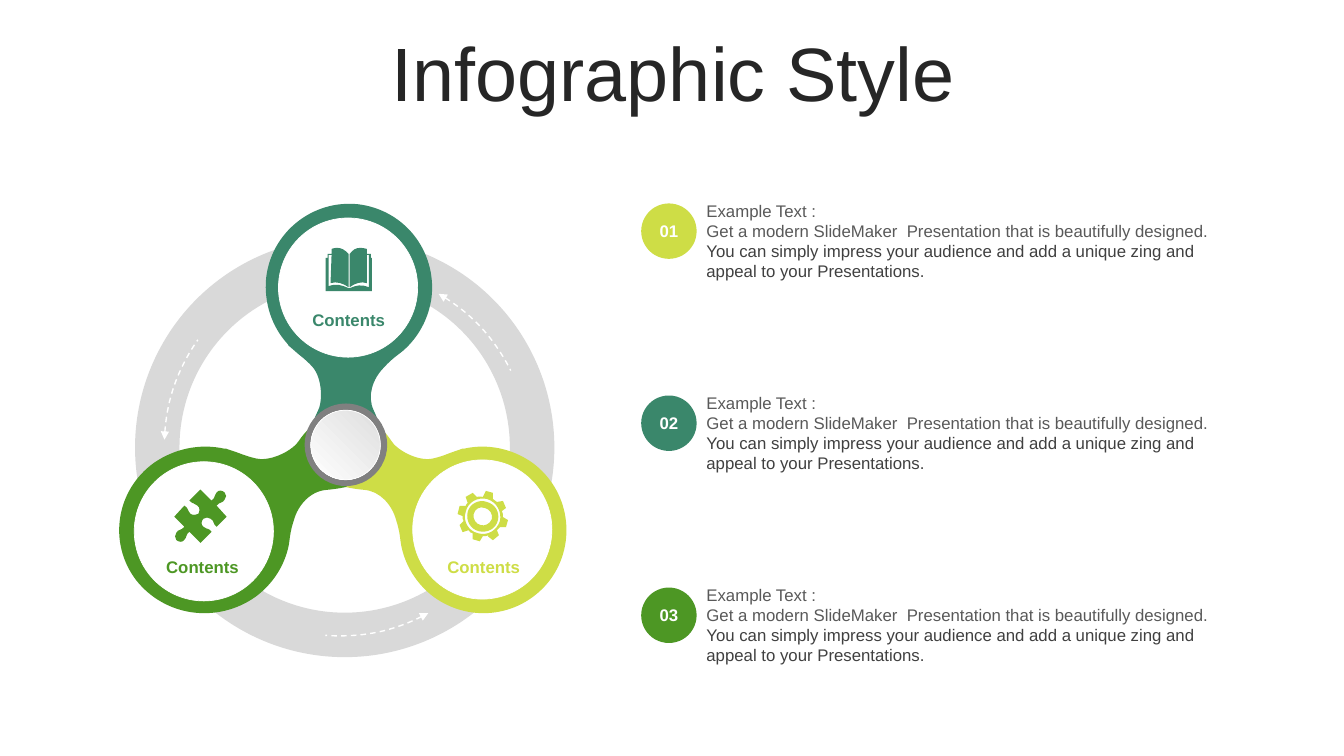
from itertools import islice
from math import cos, radians, sin

from pptx import Presentation
from pptx.dml.color import RGBColor
from pptx.enum.dml import MSO_LINE
from pptx.enum.shapes import MSO_SHAPE
from pptx.enum.text import MSO_ANCHOR, MSO_AUTO_SIZE, PP_ALIGN
from pptx.oxml.ns import qn
from pptx.util import Pt

LIME = RGBColor(0xCE, 0xDD, 0x46)
TEAL = RGBColor(0x3A, 0x87, 0x6B)
GREEN = RGBColor(0x4D, 0x97, 0x24)
WHITE = RGBColor(0xFF, 0xFF, 0xFF)
TRACK_GRAY = RGBColor(0xD9, 0xD9, 0xD9)
RIM_GRAY = RGBColor(0x80, 0x80, 0x80)
HUB_GRAY = RGBColor(0xDE, 0xDE, 0xDE)
TITLE_INK = RGBColor(0x26, 0x26, 0x26)
LEAD_INK = RGBColor(0x59, 0x59, 0x59)
BODY_INK = RGBColor(0x40, 0x40, 0x40)

# Outlines: M move, L lines, C cubic curves, Z close; one unit is 0.72 pt.
OUTLINE_UNIT = 0.72
ARM = """M 528,459 C 508,445 484,440 461,445 461,445 460,445 459,445
454,447 450,448 445,450 440,452 434,454 429,455 414,458 393,446 388,437
382,428 375,422 375,422 L 367,437 350,468 342,483
C 342,483 350,485 361,486 377,487 389,501 393,516 397,528 397,536 398,541
402,561 413,579 430,592 467,619 518,612 546,575 573,538 565,486 528,459 Z"""
PUZZLE = """M 223,489 C 225,491 225,494 223,496 221,500 218,498 215,502
L 225,513 215,523 C 211,520 213,517 209,515 207,513 204,514 202,515
200,517 199,521 202,523 206,526 207,524 210,528 L 199,539 188,528
C 184,531 186,533 183,536 181,539 177,538 175,536 174,534 173,531 175,529
177,525 180,527 183,523 L 173,513 183,502 C 187,504 186,507 189,510
191,512 195,511 197,510 198,508 199,504 196,502 193,499 192,501 188,497
L 199,486 210,497 C 214,494 212,493 215,489 217,486 221,487 223,489 Z"""
BOOK = """M 346,286 L 347,286 C 354,283 358,282 366,285 L 366,253 364,253
C 364,263 364,272 364,281 359,279 352,281 347,285 L 347,253 347,252
C 350,248 353,246 357,246 359,246 361,246 364,247 364,249 364,250 364,252
L 368,252 368,256 369,256 369,289 323,289 323,256 325,256 325,252 329,252
C 329,250 329,249 329,247 331,246 333,246 335,246 339,246 342,248 346,252
L 346,285 C 340,281 334,279 328,281 L 329,253 326,253 326,284
C 334,281 339,283 346,286 Z"""
GEAR = """M 481,504 C 476,502 471,505 470,510 469,515 472,520 477,521
481,522 486,520 488,515 489,510 486,505 481,504 Z
M 483,498 C 491,500 496,508 494,516 492,525 483,529 475,527
467,525 462,517 464,508 466,500 475,495 483,498 Z
M 483,495 C 474,493 464,498 462,508 459,517 465,527 474,529
484,532 493,526 496,517 498,508 493,498 483,495 Z
M 489,489 L 489,495 C 490,496 492,497 493,498 L 499,497 502,504 498,507
C 499,509 499,511 499,513 L 504,516 502,523 496,523
C 495,524 494,525 493,526 L 495,531 489,536 484,532 485,531
C 483,532 481,532 479,532 L 476,537 469,535 469,529
C 467,529 466,528 465,526 L 459,528 456,521 460,517
C 459,516 459,514 459,512 L 454,510 456,502 462,502
C 462,501 463,500 464,499 L 462,493 469,489 473,493
C 475,493 477,492 479,493 L 482,487 Z"""


def top_arm(x, y):
    return x - 105, y - 214


def left_arm(x, y):
    return 108 + (572 - x) * 236 / 230, y


def upright_puzzle(x, y):
    """Turn a puzzle point back by 45 degrees about the middle of the icon."""
    dx, dy, angle = x - 198.5, y - 512.5, radians(45)
    return (198.5 + dx * cos(angle) + dy * sin(angle),
            512.5 - dx * sin(angle) + dy * cos(angle))


def write(paragraph, text, *, color, size=12, bold=False, align=None):
    if align is not None:
        paragraph.alignment = align
    run = paragraph.add_run()
    run.text = text
    run.font.name = "Arial"
    run.font.size = Pt(size)
    run.font.bold = bold
    run.font.color.rgb = color


def add_preset(slide, kind, left, top, size, fill=None, edge=None):
    shape = slide.shapes.add_shape(kind, Pt(left), Pt(top), Pt(size), Pt(size))
    shape.shadow.inherit = False
    if fill is None:
        shape.fill.background()
    else:
        shape.fill.solid()
        shape.fill.fore_color.rgb = fill
    if edge is None:
        shape.line.fill.background()
    else:
        shape.line.color.rgb = WHITE
        shape.line.width = Pt(edge)
    return shape


def add_outline(slide, outline, color, placed=lambda x, y: (x, y), turn=0):
    """Draw an outline with true curves, each point moved by placed."""
    steps = []
    for token in outline.split():
        if token.isalpha():
            steps.append((token, []))
        else:
            x, y = placed(*map(int, token.split(",")))
            steps[-1][1].append((Pt(x * OUTLINE_UNIT), Pt(y * OUTLINE_UNIT)))
    builder = slide.shapes.build_freeform(*steps[0][1][0], scale=1.0)
    for command, points in steps[1:]:
        if command == "M":
            builder.move_to(*points[0])
        else:
            builder.add_line_segments(points, close=command == "Z")
    shape = builder.convert_to_shape()

    contour = shape.element.find(".//" + qn("a:path"))
    nodes = iter(list(contour))
    for command, points in steps:
        if command != "C":
            list(islice(nodes, max(1, len(points))))
            continue
        for _ in range(len(points) // 3):
            controls = list(islice(nodes, 3))
            curve = contour.makeelement(qn("a:cubicBezTo"))
            controls[0].addprevious(curve)
            for control in controls:
                curve.append(control[0])
                contour.remove(control)

    shape.rotation = turn
    shape.shadow.inherit = False
    shape.fill.solid()
    shape.fill.fore_color.rgb = color
    shape.line.fill.background()


def add_turn_arrow(slide, left, top, turn):
    arrow = add_preset(slide, MSO_SHAPE.ARC, left, top, 262, edge=1)
    # Angles are stored in 60000ths of a degree, adjustments in 100000ths.
    arrow.adjustments[0] = 181.8 * 0.6
    arrow.adjustments[1] = 215.18 * 0.6
    arrow.rotation = turn
    arrow.line.dash_style = MSO_LINE.DASH
    line = arrow.line._get_or_add_ln()
    line.append(line.makeelement(qn("a:headEnd"), {"type": "triangle"}))


def add_text_box(slide, left, top, width, height):
    box = slide.shapes.add_textbox(Pt(left), Pt(top), Pt(width), Pt(height))
    box.text_frame.word_wrap = True
    return box.text_frame


def add_title(slide, text):
    title = slide.shapes.title
    title.left, title.top, title.width, title.height = Pt(25.2), Pt(26.6), Pt(911.5), Pt(56.9)
    frame = title.text_frame
    frame.auto_size = MSO_AUTO_SIZE.NONE
    frame.vertical_anchor = MSO_ANCHOR.MIDDLE
    frame.paragraphs[0].line_spacing = 0.9
    write(frame.paragraphs[0], text, color=TITLE_INK, size=54, align=PP_ALIGN.CENTER)


def add_spinner(slide):
    track = add_preset(slide, MSO_SHAPE.DONUT, 96.5, 169.9, 299.5, TRACK_GRAY)
    track.adjustments[0] = 0.106
    add_outline(slide, ARM, LIME)
    add_outline(slide, ARM, TEAL, top_arm, turn=240)
    add_outline(slide, ARM, GREEN, left_arm)
    for left, top in ((198.9, 155.7), (294.8, 328.5), (95.9, 329.8)):
        add_preset(slide, MSO_SHAPE.OVAL, left, top, 99.4, WHITE, edge=0.5)
    add_preset(slide, MSO_SHAPE.OVAL, 217.6, 288.2, 59, RIM_GRAY)
    hub = add_preset(slide, MSO_SHAPE.OVAL, 222, 293, 49.7, WHITE, edge=0.5)
    hub.fill.gradient()
    hub.fill.gradient_angle = 225
    for stop, color in zip(hub.fill.gradient_stops, (HUB_GRAY, WHITE)):
        stop.color.rgb = color
    for left, top, turn in ((117.4, 187.2, 0), (111.6, 192.2, 239.3), (116.6, 192.2, 118.3)):
        add_turn_arrow(slide, left, top, turn)
    for left, top, color in ((205.9, 217.4, TEAL), (101.5, 393.8, GREEN), (302.4, 393.8, LIME)):
        label = add_text_box(slide, left, top, 86.4, 21.6)
        write(label.paragraphs[0], "Contents", color=color, bold=True, align=PP_ALIGN.CENTER)
    add_outline(slide, PUZZLE, GREEN, upright_puzzle, turn=45)
    add_outline(slide, BOOK, TEAL)
    add_outline(slide, GEAR, LIME)


def add_item(slide, number, color):
    top = 139.5 + (number - 1) * 137.2
    description = add_text_box(slide, 497.5, top, 385.2, 65.4)
    write(description.paragraphs[0], "Example Text :", color=LEAD_INK)
    detail = description.add_paragraph()
    write(detail, "Get a modern SlideMaker  Presentation that is beautifully designed. ",
          color=LEAD_INK)
    write(detail, "You can simply impress your audience and add a unique zing and "
          "appeal to your Presentations.", color=BODY_INK)
    badge = add_preset(slide, MSO_SHAPE.OVAL, 458, top + 5.8, 39.6, color)
    badge.text_frame.vertical_anchor = MSO_ANCHOR.MIDDLE
    write(badge.text_frame.paragraphs[0], f"{number:02}", color=WHITE, bold=True,
          align=PP_ALIGN.CENTER)


def main():
    deck = Presentation()
    deck.slide_width, deck.slide_height = Pt(960), Pt(540)
    slide = deck.slides.add_slide(deck.slide_layouts[5])
    add_title(slide, "Infographic Style")
    add_spinner(slide)
    for number, color in enumerate((LIME, TEAL, GREEN), start=1):
        add_item(slide, number, color)
    deck.save("out.pptx")


if __name__ == "__main__":
    main()
